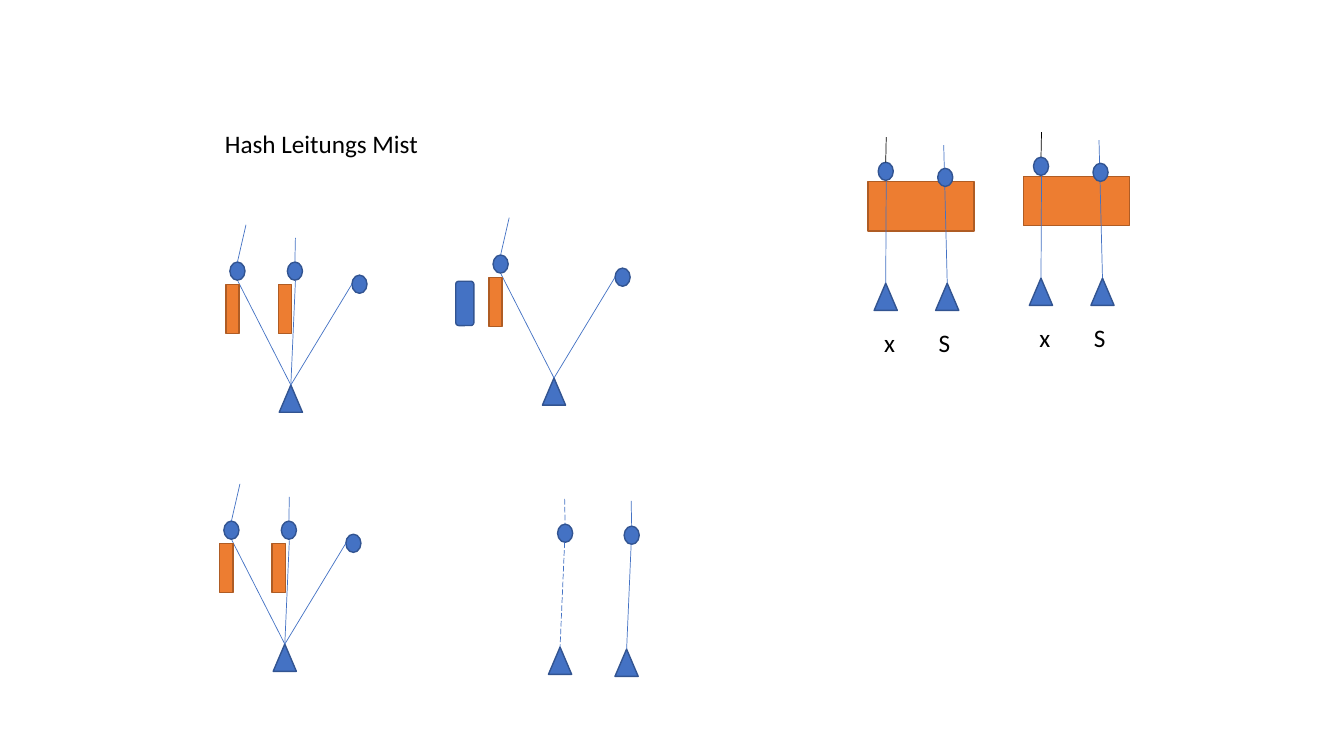
"""Build the slide of wires, beads and weights around the heading Hash Leitungs Mist."""
from pptx import Presentation
from pptx import util as u
from pptx.dml.color import RGBColor
from pptx.enum import dml, shapes, text
from pptx.oxml.ns import qn
from lxml import etree

BLUE, BLUE_EDGE = "4472C4", "325491"
ORANGE, ORANGE_EDGE = "ED7D31", "AF5C24"
BLACK = "000000"


def px(length):
    """Turn a length at 100 px to the inch into EMU."""
    return u.Emu(round(length * 9144))


def colour(hex_code):
    """Turn a hex string into a colour."""
    return RGBColor.from_string(hex_code)


def solid(slide, kind, left, top, width, height, fill=BLUE, edge=BLUE_EDGE):
    """Add a filled and outlined preset shape."""
    body = slide.shapes.add_shape(kind, px(left), px(top), px(width), px(height))
    body.shadow.inherit = False
    body.fill.solid()
    body.fill.fore_color.rgb = colour(fill)
    body.line.color.rgb = colour(edge)
    body.line.width = u.Pt(1)
    return body


def bead(slide, left, top):
    """Add a blue bead."""
    return solid(slide, shapes.MSO_SHAPE.OVAL, left, top, 15, 18)


def weight(slide, left, top):
    """Add a blue triangular weight."""
    return solid(slide, shapes.MSO_SHAPE.ISOSCELES_TRIANGLE, left, top, 23, 27)


def block(slide, left, top, width, height):
    """Add an orange block."""
    return solid(slide, shapes.MSO_SHAPE.RECTANGLE, left, top, width, height, ORANGE, ORANGE_EDGE)


def wire(slide, left, top, target, shade=BLUE, dash=None):
    """Add a thin wire from a point to the top of a bead or weight."""
    strand = slide.shapes.add_connector(
        shapes.MSO_CONNECTOR.STRAIGHT, px(left), px(top), target.left, target.top)
    strand.end_connect(target, 0)
    strand.line.color.rgb = colour(shade)
    strand.line.width = u.Pt(0.5)
    if dash:
        strand.line.dash_style = dash
    etree.SubElement(strand.element.spPr, qn("a:effectLst"))


def write(frame, words):
    """Set one unwrapped line of text."""
    frame.text = words
    frame.word_wrap = False
    frame.auto_size = text.MSO_AUTO_SIZE.SHAPE_TO_FIT_TEXT
    frame.vertical_anchor = text.MSO_ANCHOR.TOP
    line = frame.paragraphs[0]
    line.alignment = text.PP_ALIGN.LEFT
    font = line.runs[0].font
    font.name = "Calibri"
    font.size = u.Pt(18)
    font.color.rgb = colour(BLACK)


def heading(slide, words):
    """Place the title of the slide."""
    title = slide.shapes.title
    title.left, title.top, title.width, title.height = px(213), px(122), px(214), px(40)
    write(title.text_frame, words)


def label(slide, words, left, top):
    """Add a short label."""
    box = slide.shapes.add_textbox(px(left), px(top), px(32), px(40))
    write(box.text_frame, words)


def fork(slide, dx, dy, has_middle=True):
    """Add a weight whose wires fan out to two or three beads."""
    hub = weight(slide, 277 + dx, 382 + dy)
    prongs = [228, 285] if has_middle else [228]
    tips = [(244, 223), (293, 236)]
    for left, (tip_x, tip_y) in zip(prongs, tips):
        ball = bead(slide, left + dx, 260 + dy)
        wire(slide, left + 8 + dx, 279 + dy, hub)
        wire(slide, tip_x + dx, tip_y + dy, ball)
    for left in (224, 276)[:len(prongs)]:
        block(slide, left + dx, 282 + dy, 13, 49)
    bead(slide, 349 + dx, 273 + dy)
    wire(slide, 349 + dx, 282 + dy, hub)


def pendulum(slide, dx, dy, dash=None):
    """Add one bead with a weight hanging below it."""
    ball = bead(slide, 619 + dx, 522 + dy)
    bob = weight(slide, 610 + dx, 644 + dy)
    wire(slide, 626 + dx, 540 + dy, bob, dash=dash)
    wire(slide, 626 + dx, 497 + dy, ball, dash=dash)


def labelled_pair(slide, dx, dy):
    """Add the wires x and S that cross a wide block."""
    block(slide, 861 + dx, 180 + dy, 105, 49)
    x_bead = bead(slide, 871 + dx, 161 + dy)
    x_weight = weight(slide, 867 + dx, 281 + dy)
    s_weight = weight(slide, 928 + dx, 281 + dy)
    wire(slide, 879 + dx, 136 + dy, x_bead, BLACK)
    wire(slide, 879 + dx, 180 + dy, x_weight)
    wire(slide, 936 + dx, 144 + dy, s_weight)
    bead(slide, 930 + dx, 167 + dy)
    label(slide, "x", 867 + dx, 320 + dy)
    label(slide, "S", 921 + dx, 320 + dy)


def main():
    """Build and save the slide."""
    deck = Presentation()
    deck.slide_width, deck.slide_height = px(1333), px(750)
    slide = deck.slides.add_slide(deck.slide_layouts[5])
    heading(slide, "Hash Leitungs Mist")
    fork(slide, 0, 0)
    fork(slide, 261, -7, has_middle=False)
    fork(slide, -6, 257)
    solid(slide, shapes.MSO_SHAPE.ROUNDED_RECTANGLE, 452, 279, 18, 44)
    labelled_pair(slide, 0, 0)
    labelled_pair(slide, 154, -5)
    pendulum(slide, 0, 0)
    pendulum(slide, -66, -2, dml.MSO_LINE.LONG_DASH)
    deck.save("out.pptx")


if __name__ == "__main__":
    main()
